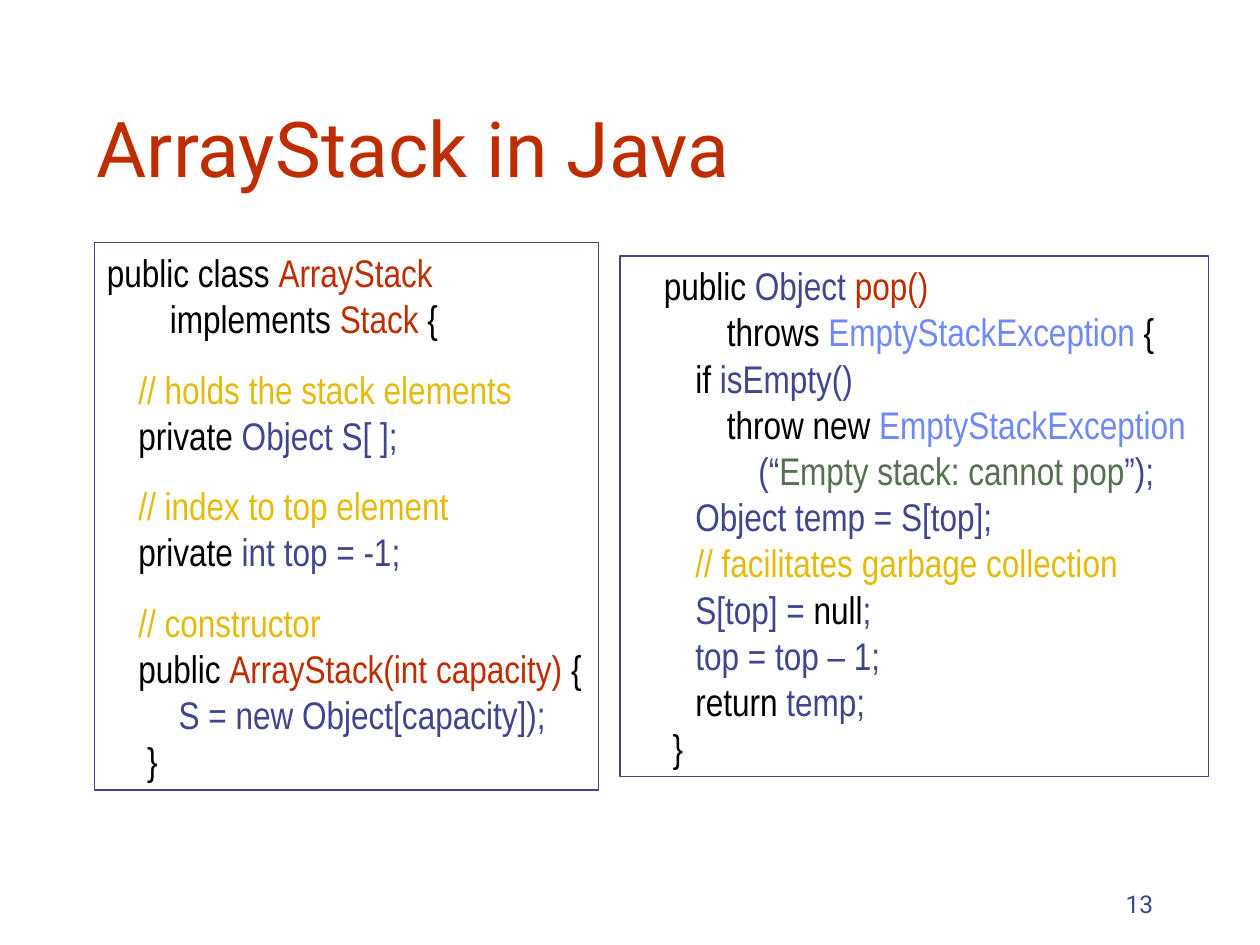
from lxml import etree
from pptx import Presentation
from pptx.dml.color import RGBColor
from pptx.enum.shapes import MSO_SHAPE
from pptx.enum.text import MSO_ANCHOR, PP_ALIGN
from pptx.oxml.ns import qn
from pptx.util import Inches, Pt

RECT = MSO_SHAPE.RECTANGLE
TOP, BASE = MSO_ANCHOR.TOP, MSO_ANCHOR.BOTTOM
LEFT, RIGHT = PP_ALIGN.LEFT, PP_ALIGN.RIGHT
WIDE, HIGH = 10, 7.5
STEP = 0.25  # code indent in inches

INK, RED, BLUE = "000000", "BE2D00", "40458C"
GOLD, SKY, GREEN = "E4BB0C", "6F89F7", "577052"

# Code: blocks of lines, each line a list of (text, colour) runs
CLASS = [
    [[("public class ", INK), ("ArrayStack", RED)],
     [("\t\timplements ", INK), ("Stack ", RED), ("{", INK)]],
    [[("\t// holds the stack elements ", GOLD)],
     [("\tprivate ", INK), ("Object S[ ];", BLUE)]],
    [[("\t// index to top element", GOLD)],
     [("\tprivate", INK), (" int top = -1;", BLUE)]],
    [[("\t// constructor", GOLD)],
     [("\tpublic ", INK), ("ArrayStack(int capacity) ", RED), ("{", INK)],
     [("\t\t S = new Object[capacity]);", BLUE)],
     [("\t }", INK)]],
]
POP = [
    [[("\tpublic", INK), (" Object ", BLUE), ("pop()", RED)],
     [("\t\t\tthrows ", INK), ("EmptyStackException ", SKY), ("{", INK)],
     [("\t\tif", INK), (" isEmpty()", BLUE)],
     [("\t\t\tthrow new ", INK), ("EmptyStackException", SKY)],
     [("\t\t\t\t(“", BLUE), ("Empty stack: cannot pop", GREEN), ("”);", BLUE)],
     [("\t\tObject temp = S[top];", BLUE)],
     [("\t\t// facilitates garbage collection ", GOLD)],
     [("\t\tS[top] = ", BLUE), ("null", INK), (";", BLUE)],
     [("\t\ttop = top – 1;", BLUE)],
     [("\t\treturn ", INK), ("temp;", BLUE)],
     [("\t }", INK)]],
]


def color(code):
    return RGBColor.from_string(code)


def area(box):
    """Turn shares of the slide into lengths."""
    x, y, w, h = box
    return [Inches(v) for v in (x * WIDE, y * HIGH, w * WIDE, h * HIGH)]


def set_tabs(para):
    stops = etree.SubElement(para._p.get_or_add_pPr(), qn("a:tabLst"))
    for i in range(8):
        etree.SubElement(stops, qn("a:tab"), pos=str(Inches(i * STEP)), algn="l")


def write(shape, blocks, size=22, font="Roboto", align=LEFT, anchor=TOP,
          before=0, tabs=False):
    frame = shape.text_frame
    frame.word_wrap = True
    frame.vertical_anchor = anchor
    for i, block in enumerate(blocks):
        para = frame.add_paragraph() if i else frame.paragraphs[0]
        para.alignment = align
        para.space_before = Pt(before)
        if tabs:
            set_tabs(para)
        for j, line in enumerate(block):
            if j:
                para.add_line_break()
            for words, tint in line:
                run = para.add_run()
                run.text = words
                run.font.size = Pt(size)
                run.font.name = font
                run.font.color.rgb = color(tint)


def label(slide, box, words, tint, **style):
    shape = slide.shapes.add_textbox(*area(box))
    write(shape, [[[(words, tint)]]], anchor=BASE, **style)


def panel(slide, box, code):
    shape = slide.shapes.add_shape(RECT, *area(box))
    shape.shadow.inherit = False
    shape.fill.background()
    shape.line.color.rgb = color(BLUE)
    shape.line.width = Pt(0.75)
    write(shape, code, font="Arial Narrow", before=13.8, tabs=True)


def main():
    deck = Presentation()
    deck.slide_width, deck.slide_height = Inches(WIDE), Inches(HIGH)
    slide = deck.slides.add_slide(deck.slide_layouts[6])

    # Page number and title
    label(slide, (0.717, 0.911, 0.208, 0.067), "13", BLUE, size=14, align=RIGHT)
    label(slide, (0.067, 0.044, 0.85, 0.167), "ArrayStack in Java", RED, size=44)

    # Code panels
    panel(slide, (0.075, 0.257, 0.4, 0.579), CLASS)
    panel(slide, (0.492, 0.271, 0.467, 0.551), POP)

    deck.save("out.pptx")


if __name__ == "__main__":
    main()
